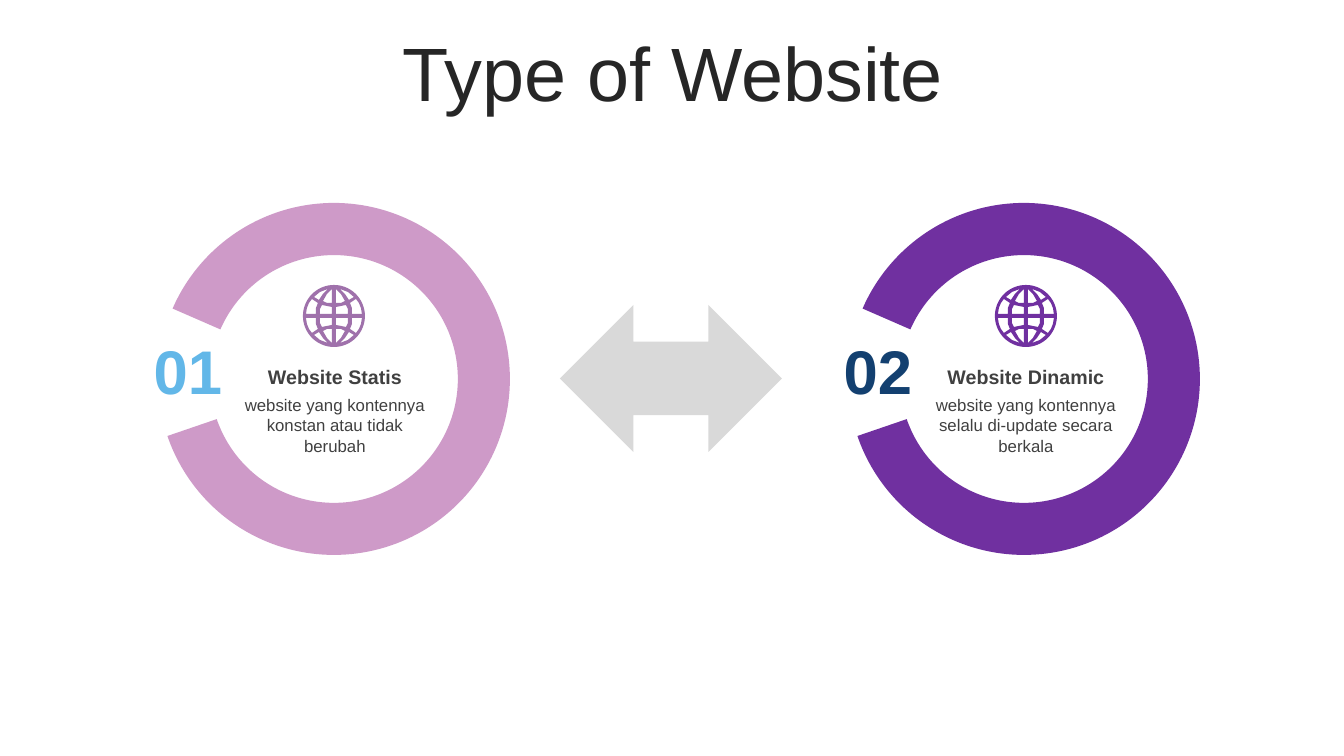
from math import cos, pi, sin
from pptx import Presentation
from pptx.dml.color import RGBColor
from pptx.enum.shapes import MSO_SHAPE
from pptx.enum.text import MSO_ANCHOR, PP_ALIGN
from pptx.util import Pt

ARC = MSO_SHAPE.BLOCK_ARC
ARROW = MSO_SHAPE.LEFT_RIGHT_ARROW
CENTER = PP_ALIGN.CENTER
MIDDLE = MSO_ANCHOR.MIDDLE
TOP = MSO_ANCHOR.TOP
PX = 914400 / 100.8


def paint(shape, color):
    shape.shadow.inherit = False
    shape.fill.solid()
    shape.fill.fore_color.rgb = RGBColor.from_string(color)
    shape.line.fill.background()


def write(text, box, size, color, bold=False, anchor=TOP):
    frame = slide.shapes.add_textbox(*[round(v * PX) for v in box]).text_frame
    frame.word_wrap = True
    frame.vertical_anchor = anchor
    frame.text = text
    para = frame.paragraphs[0]
    para.alignment = CENTER
    font = para.runs[0].font
    font.name = "Arial"
    font.size = Pt(size)
    font.bold = bold
    font.color.rgb = RGBColor.from_string(color)
    return frame


deck = Presentation()
deck.slide_width = round(1344 * PX)
deck.slide_height = round(756 * PX)
slide = deck.slides.add_slide(deck.slide_layouts[6])

title = write("Type of Website", (35, 37, 1276, 80), 54, "262626", anchor=MIDDLE)
title.paragraphs[0].line_spacing = 0.9

panes = [
    [(2, 2), (14, 2), (14, 7), (12, 11), (7, 10), (2, 9)],
    [(18, 2), (28, 2), (27, 8), (25, 13), (22, 17), (19, 15), (16, 13), (18, 8)],
    [(2, 13), (7, 13), (11, 15), (7, 22), (2, 27)],
    [(15, 16), (20, 19), (14, 24), (6, 27), (11, 22)],
]
rim = [(31 * cos(pi * i / 36), 31 * sin(pi * i / 36)) for i in range(72)]
loops = [rim] + [
    [(sx * x, sy * y) for x, y in pane]
    for pane in panes for sx in (-1, 1) for sy in (-1, 1)
]

sites = [
    (158, "CE9AC8", "01", "62B7E8", 334, 224, 222, "9F71AB", "Website Statis",
     "website yang kontennya konstan atau tidak berubah"),
    (848, "7030A0", "02", "134070", 1026, 919, 214, "7030A0", "Website Dinamic",
     "website yang kontennya selalu di-update secara berkala"),
]
for left, ring, num, ink, mid, edge, wide, tint, head, body in sites:
    arc = slide.shapes.add_shape(ARC, *[round(v * PX) for v in (left, 203, 352, 352)])
    for i, value in enumerate((122.14, 96.65, 0.148)):
        arc.adjustments[i] = value
    paint(arc, ring)

    label = write(num, (left - 15, 328, 80, 85), 44, ink, True)
    label.margin_right = 0
    write(body, (edge, 390, wide, 72), 12, "404040")
    write(head, (edge, 360, wide, 34), 14, "404040", True)

    pen = None
    for loop in loops:
        spots = [((mid + x) * PX, (316 + y) * PX) for x, y in loop]
        if pen is None:
            pen = slide.shapes.build_freeform(*spots[0], scale=1.0)
        else:
            pen.move_to(*spots[0])
        pen.add_line_segments(spots[1:], close=True)
    paint(pen.convert_to_shape(), tint)

arrow = slide.shapes.add_shape(ARROW, *[round(v * PX) for v in (560, 305, 222, 147)])
paint(arrow, "D9D9D9")

deck.save("out.pptx")
